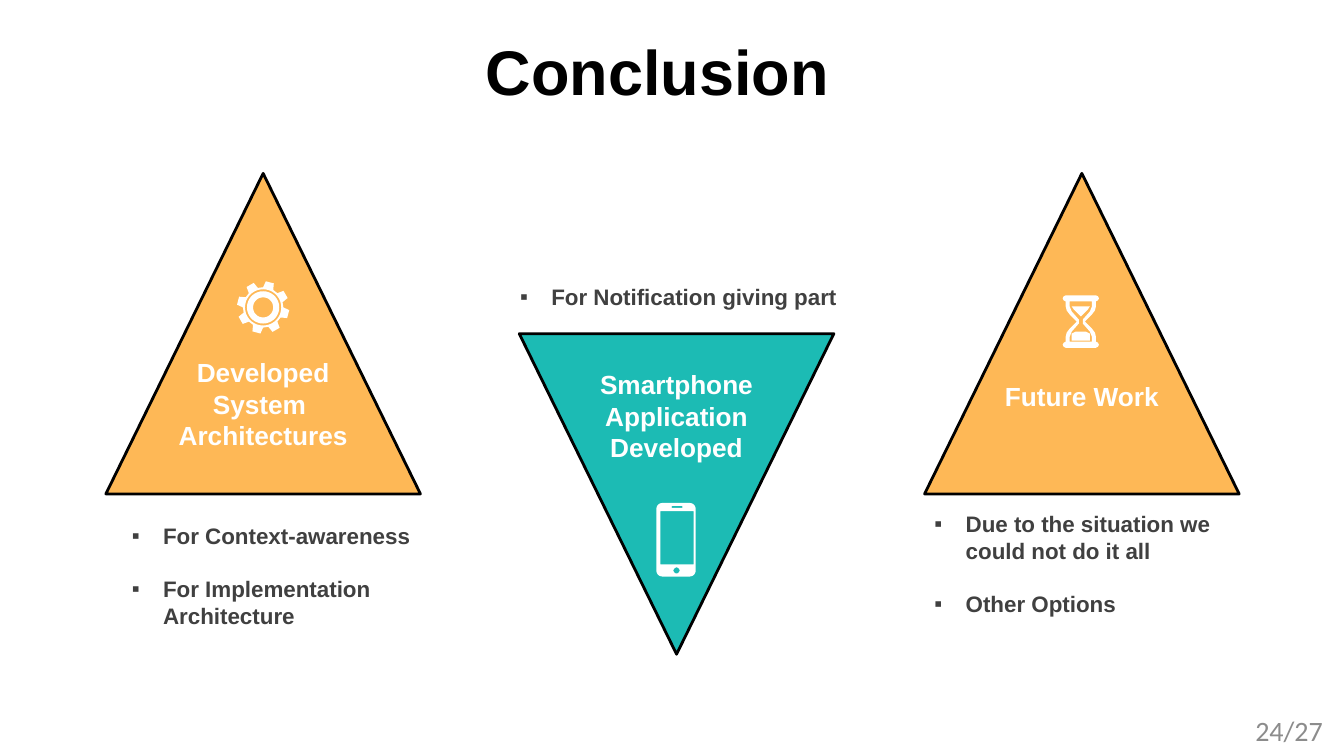
from math import cos, sin, radians
from lxml import etree
from pptx import Presentation, util as u
from pptx.dml.color import RGBColor
from pptx.enum import shapes, text
from pptx.oxml import ns

GOLD = RGBColor(0xFE, 0xB8, 0x56)
TEAL = RGBColor(0x1C, 0xBB, 0xB4)
WHITE = RGBColor(0xFF, 0xFF, 0xFF)
BLACK = RGBColor(0, 0, 0)
DARK = RGBColor(0x40, 0x40, 0x40)
GRAY = RGBColor(0x8C, 0x8C, 0x8C)
LEFT, MID, RIGHT = text.PP_ALIGN.LEFT, text.PP_ALIGN.CENTER, text.PP_ALIGN.RIGHT

WIDE, TALL = 3.12, 3.18
TOP = 1.72
LOW = TOP + TALL / 2
COLS = (1.05, 5.15, 9.17)
MIDS = [col + WIDE / 2 for col in COLS]


def pill(left, top, wide, tall, curve):
    ends = ((left + wide - curve, top + tall - curve), (left + curve, top + tall - curve),
            (left + curve, top + curve), (left + wide - curve, top + curve))
    return [(x + curve * cos(radians(turn)), y + curve * sin(radians(turn)))
            for k, (x, y) in enumerate(ends)
            for turn in range(90 * k, 90 * k + 91, 10)]


def mirror(part):
    half = part + [(x, -y) for x, y in reversed(part)]
    return half + [(-x, y) for x, y in reversed(half)]


deck = Presentation()
deck.slide_width, deck.slide_height = u.Inches(13.33), u.Inches(7.5)
slide = deck.slides.add_slide(deck.slide_layouts[5])

title = slide.shapes.title
title.left, title.top, title.width, title.height = map(u.Inches, (4.23, 0.31, 4.58, 0.78))
frame = title.text_frame
frame.vertical_anchor = text.MSO_ANCHOR.MIDDLE
para = frame.paragraphs[0]
para.alignment = MID
run = para.add_run()
run.text = "Conclusion"
run.font.name, run.font.size, run.font.bold = "Arial", u.Pt(45), True
run.font.color.rgb = BLACK

for col, top, turn, fill in zip(COLS, (TOP, LOW, TOP), (0, 180, 0), (GOLD, TEAL, GOLD)):
    tri = slide.shapes.add_shape(shapes.MSO_SHAPE.ISOSCELES_TRIANGLE,
                                 *map(u.Inches, (col, top, WIDE, TALL)))
    tri.rotation = turn
    tri.shadow.inherit = False
    tri.fill.solid()
    tri.fill.fore_color.rgb = fill
    tri.line.color.rgb = BLACK
    tri.line.width = u.Pt(2)

HEAD = ("Arial", 18.7, True, WHITE, MID, False)
LIST = ("Arial", 16, True, DARK, LEFT, True)
PAGE = ("Calibri", 20, False, GRAY, RIGHT, False)
notes = (
    (1.21, 5.13, 3.46, 1.18, LIST, ("For Context-awareness", "For Implementation Architecture")),
    (MIDS[0] - 1.25, 3.49, 2.5, 1.04, HEAD, ("Developed", "System ", "Architectures")),
    (MIDS[1] - 1.25, 3.61, 2.5, 1.04, HEAD, ("Smartphone Application", "Developed")),
    (MIDS[2] - 1.25, 3.72, 2.5, 0.42, HEAD, ("Future Work",)),
    (5.06, 2.76, 3.46, 0.64, LIST, ("For Notification giving part",)),
    (9.17, 5.01, 3.46, 1.45, LIST, ("Due to the situation we could not do it all", "Other Options")),
    (10.22, 7.05, 3, 0.4, PAGE, ("24/27",)),
)
for left, top, wide, tall, (face, size, bold, ink, side, dots), lines in notes:
    box = slide.shapes.add_textbox(*map(u.Inches, (left, top, wide, tall)))
    frame = box.text_frame
    frame.word_wrap = True
    if face == "Calibri":
        frame.vertical_anchor = text.MSO_ANCHOR.MIDDLE
    for k, line in enumerate(lines):
        para = frame.paragraphs[0] if k == 0 else frame.add_paragraph()
        para.alignment = side
        if dots:
            if k:
                para.space_before = u.Pt(19)
            props = para._p.get_or_add_pPr()
            props.set("marL", str(u.Inches(0.31)))
            props.set("indent", str(-u.Inches(0.31)))
            etree.SubElement(props, ns.qn("a:buFont")).set("typeface", "Arial")
            etree.SubElement(props, ns.qn("a:buChar")).set("char", "▪")
        run = para.add_run()
        run.text = line
        run.font.name, run.font.size, run.font.bold = face, u.Pt(size), bold
        run.font.color.rgb = ink

phone = [pill(-0.2, -0.36, 0.39, 0.73, 0.06), pill(-0.05, -0.33, 0.11, 0.02, 0.01),
         [(-0.16, -0.28), (0.17, -0.28), (0.17, 0.25), (-0.16, 0.25)],
         pill(-0.03, 0.28, 0.06, 0.06, 0.03)]

glass = [mirror([(0, -0.26), (0.15, -0.26), (0.17, -0.25), (0.18, -0.23), (0.17, -0.21),
                 (0.15, -0.2), (0.15, -0.15), (0.14, -0.11), (0.11, -0.07), (0.04, 0)]),
         mirror([(0, -0.2), (0.11, -0.2), (0.11, -0.15), (0.09, -0.1), (0.02, -0.02)]),
         [(-0.09, -0.15), (0.09, -0.15), (0.07, -0.12), (0, -0.05), (-0.07, -0.12)],
         [(-0.09, 0.19), (-0.09, 0.12), (-0.05, 0.1), (0.05, 0.1), (0.09, 0.12), (0.09, 0.19)]]

teeth = [(far * cos(radians(45 * k + 15 + turn)), far * sin(radians(45 * k + 15 + turn)))
         for k in range(8)
         for turn, far in ((-15, 0.2), (-9, 0.26), (9, 0.26), (15, 0.2))]
gear = [teeth] + [pill(-r, -r, 2 * r, 2 * r, r) for r in (0.18, 0.16, 0.1)]

for x, y, icon in ((MIDS[1], 5.35, phone), (MIDS[2] - 0.01, 3.19, glass), (MIDS[0], 3.05, gear)):
    parts = [[((x + a) * 1000, (y + b) * 1000) for a, b in part] for part in icon]
    pen = slide.shapes.build_freeform(*parts[0][0], scale=914.4)
    pen.add_line_segments(parts[0][1:])
    for part in parts[1:]:
        pen.move_to(*part[0])
        pen.add_line_segments(part[1:])
    art = pen.convert_to_shape()
    art.shadow.inherit = False
    art.fill.solid()
    art.fill.fore_color.rgb = WHITE
    art.line.fill.background()

deck.save("out.pptx")
